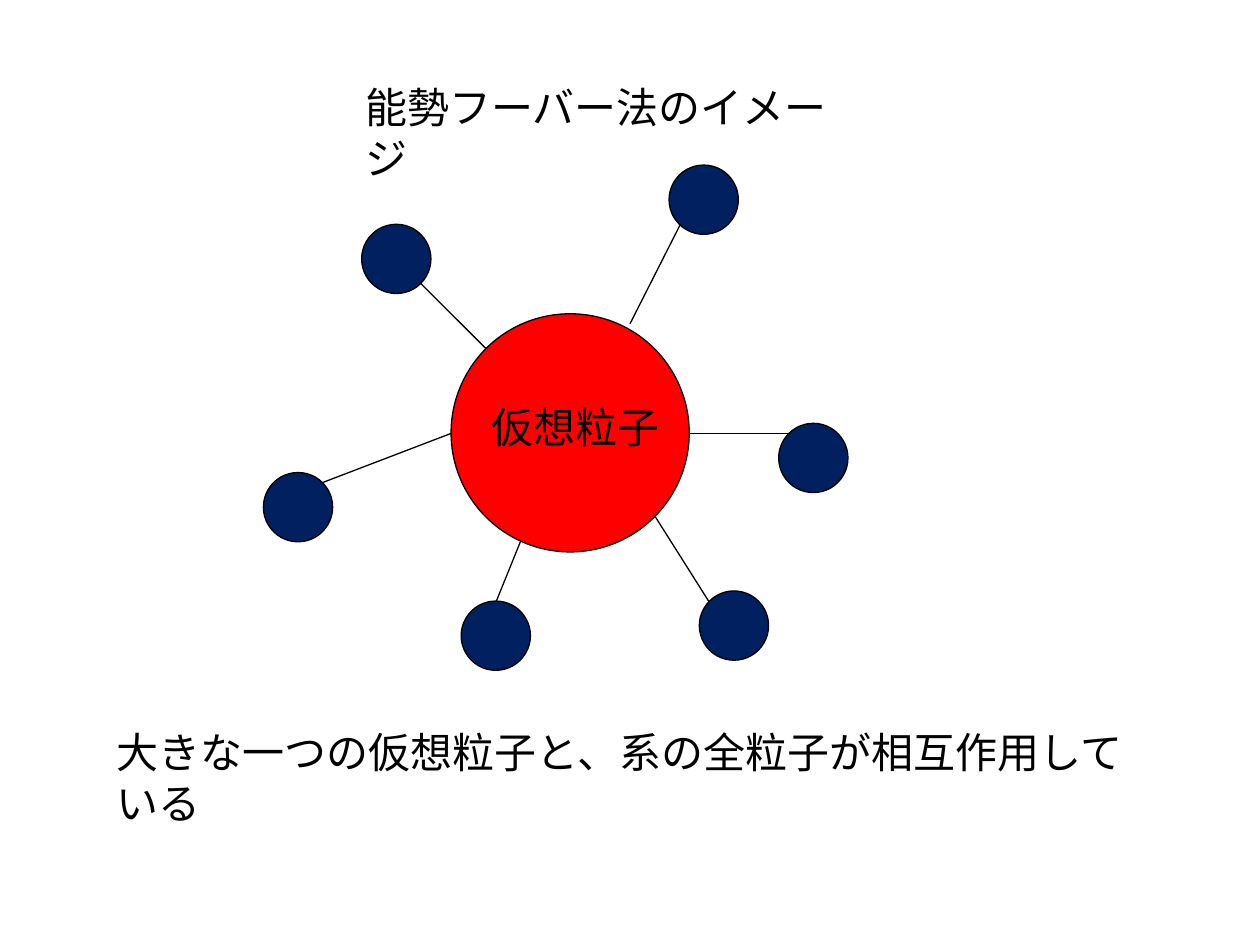
from pptx import Presentation
from pptx.dml.color import RGBColor
from pptx.enum.shapes import MSO_CONNECTOR, MSO_SHAPE
from pptx.enum.text import MSO_ANCHOR, MSO_AUTO_SIZE, PP_ALIGN
from pptx.oxml.ns import qn
from pptx.util import Inches, Pt
from lxml import etree

OVAL = MSO_SHAPE.OVAL
STRAIGHT = MSO_CONNECTOR.STRAIGHT
TOP = MSO_ANCHOR.TOP
LEFT = PP_ALIGN.LEFT
GROW = MSO_AUTO_SIZE.SHAPE_TO_FIT_TEXT

COLORS = {"ink": "000000", "virtual": "FF0000", "particle": "002060"}
COLS, ROWS = 100, 75  # grid cells of 0.1 inch


class Diagram:
    """Style and current slide; lengths are grid columns and rows."""

    font, size, line_width = "Calibri", Pt(24), Pt(0.75)

    def __init__(self, prs):
        """Add a blank slide and measure one grid cell."""
        self.s = prs.slides.add_slide(prs.slide_layouts[6])
        self.col = prs.slide_width / COLS
        self.row = prs.slide_height / ROWS

    def place(self, x, y):
        """Turn columns and rows into slide lengths."""
        return round(x * self.col), round(y * self.row)

    def color(self, name):
        """Look up a named colour."""
        return RGBColor.from_string(COLORS[name])

    def outline(self, sp):
        """Give a shape or connector the common line."""
        sp.line.color.rgb = self.color("ink")
        sp.line.width = self.line_width

    def circle(self, x, y, diameter, fill):
        """Draw a filled circle from its top left corner."""
        sp = self.s.shapes.add_shape(
            OVAL, *self.place(x, y), *self.place(diameter, diameter))
        sp.shadow.inherit = False
        sp.fill.solid()
        sp.fill.fore_color.rgb = self.color(fill)
        self.outline(sp)

    def bond(self, start, end):
        """Draw a straight line between two points."""
        sp = self.s.shapes.add_connector(
            STRAIGHT, *self.place(*start), *self.place(*end))
        self.outline(sp)
        etree.SubElement(sp._element.spPr, qn("a:effectLst"))

    def text(self, x, y, width, words):
        """Write a wrapped text box that grows downwards."""
        sp = self.s.shapes.add_textbox(
            *self.place(x, y), *self.place(width, 5))
        tf = sp.text_frame
        tf.word_wrap = True
        tf.auto_size = GROW
        tf.vertical_anchor = TOP
        p = tf.paragraphs[0]
        p.alignment = LEFT
        r = p.add_run()
        r.text = words
        r.font.name = self.font
        r.font.size = self.size
        r.font.color.rgb = self.color("ink")


# Each particle's corner, then its bond's outer and inner ends
PARTICLES = [
    ((53.1, 13.1), (54, 17.8), (50, 25.7)),
    ((28.7, 17.8), (33.4, 22.5), (38.6, 27.7)),
    ((20.9, 37.5), (25.6, 38.3), (35.8, 34.4)),
    ((36.6, 47.7), (39.4, 47.7), (41.3, 43)),
    ((55.5, 46.9), (56.3, 47.8), (52, 41)),
    ((61.8, 33.6), (62.6, 34.4), (54.7, 34.4)),
]


def main():
    """Build and save the slide."""
    prs = Presentation()
    prs.slide_width, prs.slide_height = Inches(10), Inches(7.5)
    d = Diagram(prs)
    d.circle(35.8, 24.9, 18.9, "virtual")
    d.text(38, 31.4, 15.5, "仮想粒子")
    for corner, _, _ in PARTICLES:
        d.circle(*corner, 5.5, "particle")
    for _, outer, inner in PARTICLES:
        d.bond(outer, inner)
    d.text(28, 6, 39.5, "能勢フーバー法のイメージ")
    d.text(8.3, 57.2, 84.9, "大きな一つの仮想粒子と、系の全粒子が相互作用している")
    prs.save("out.pptx")


main()
